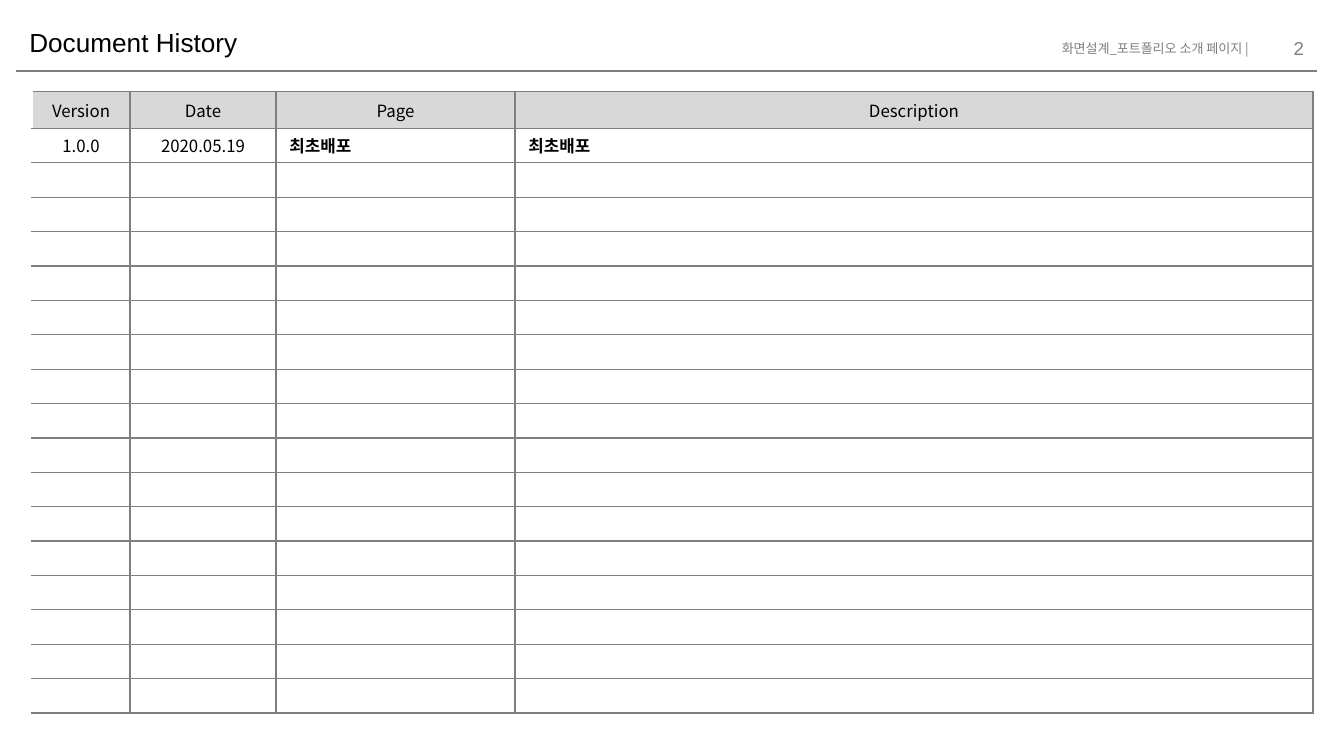
from lxml.etree import SubElement
from pptx import Presentation
from pptx.dml.color import RGBColor
from pptx.enum.shapes import MSO_CONNECTOR
from pptx.enum.text import MSO_ANCHOR, PP_ALIGN
from pptx.oxml.ns import qn
from pptx.util import Pt

KOREAN, LATIN = "Noto Sans CJK KR", "Arial"
GREY, BLACK, WHITE, HEADER_FILL = "7F7F7F", "000000", "FFFFFF", "D8D8D8"
LEFT, CENTER, RIGHT = PP_ALIGN.LEFT, PP_ALIGN.CENTER, PP_ALIGN.RIGHT
TOP, MIDDLE = MSO_ANCHOR.TOP, MSO_ANCHOR.MIDDLE

labels = [
    ("화면설계_포트폴리오 소개 페이지 |", (523.4, 18, 152.6, 17.3), 7, KOREAN, GREY, RIGHT, TOP, 3.6),
    ("2", (662.4, 15.1, 43.2, 21.6), 10, LATIN, GREY, RIGHT, MIDDLE, 3.6),
    ("Document History", (8.6, 9.4, 553.7, 21.6), 14, LATIN, BLACK, LEFT, TOP, 4.8),
]
columns = [("Version", 52.4), ("Date", 78.3), ("Page", 128), ("Description", 427.5)]
revisions = [("1.0.0", "2020.05.19", "최초배포", "최초배포")]
revision_rows = 17
header_height, row_height = 19.7, 18.45
table_left, table_top = 17.2, 49.1


def color(hex_string):
    return RGBColor.from_string(hex_string)


def add_run(paragraph, text, size, font, hex_string, bold=False):
    run = paragraph.add_run()
    run.text = text
    run.font.size = Pt(size)
    run.font.name = font
    run.font.bold = bold
    run.font.color.rgb = color(hex_string)
    SubElement(run.font._element, qn("a:ea"), typeface=font)


def add_borders(cell, sides):
    properties = cell._tc.get_or_add_tcPr()
    for index, side in enumerate(sides):
        border = properties.makeelement(qn(f"a:ln{side}"), {"w": str(Pt(0.75))})
        fill = SubElement(border, qn("a:solidFill"))
        SubElement(fill, qn("a:srgbClr"), val=GREY)
        properties.insert(index, border)


presentation = Presentation()
presentation.slide_width, presentation.slide_height = Pt(720), Pt(405)
slide = presentation.slides.add_slide(presentation.slide_layouts[6])

rule = slide.shapes.add_connector(MSO_CONNECTOR.STRAIGHT, Pt(8.6), Pt(38.2), Pt(705.6), Pt(38.2))
rule.line.color.rgb = color(GREY)
rule.line.width = Pt(1)
SubElement(rule._element.spPr, qn("a:effectLst"))

for text, box, size, font, hex_string, alignment, anchor, inset in labels:
    frame = slide.shapes.add_textbox(*map(Pt, box)).text_frame
    frame.word_wrap = True
    frame.vertical_anchor = anchor
    frame.margin_top = Pt(inset)
    frame.paragraphs[0].alignment = alignment
    add_run(frame.paragraphs[0], text, size, font, hex_string)

table_width = sum(width for _, width in columns)
table_height = header_height + revision_rows * row_height
history = slide.shapes.add_table(
    revision_rows + 1, len(columns),
    Pt(table_left), Pt(table_top), Pt(table_width), Pt(table_height),
).table
history.horz_banding = False
for column, (_, width) in zip(history.columns, columns):
    column.width = Pt(width)

entries = [[name for name, _ in columns], *revisions]
for row_index, row in enumerate(history.rows):
    is_header = row_index == 0
    row.height = Pt(header_height if is_header else row_height)
    for column_index, cell in enumerate(row.cells):
        cell.margin_top = cell.margin_bottom = Pt(2.7)
        cell.vertical_anchor = MIDDLE if is_header else TOP
        cell.fill.solid()
        cell.fill.fore_color.rgb = color(HEADER_FILL if is_header else WHITE)
        add_borders(cell, "RTB" if column_index == 0 else "LRTB")
        paragraph = cell.text_frame.paragraphs[0]
        is_note = not is_header and column_index >= 2
        paragraph.alignment = LEFT if is_note else CENTER
        if row_index < len(entries):
            add_run(paragraph, entries[row_index][column_index], 9, KOREAN, BLACK, is_note)
        else:
            SubElement(paragraph._p, qn("a:endParaRPr"), sz="900")

presentation.save("out.pptx")
